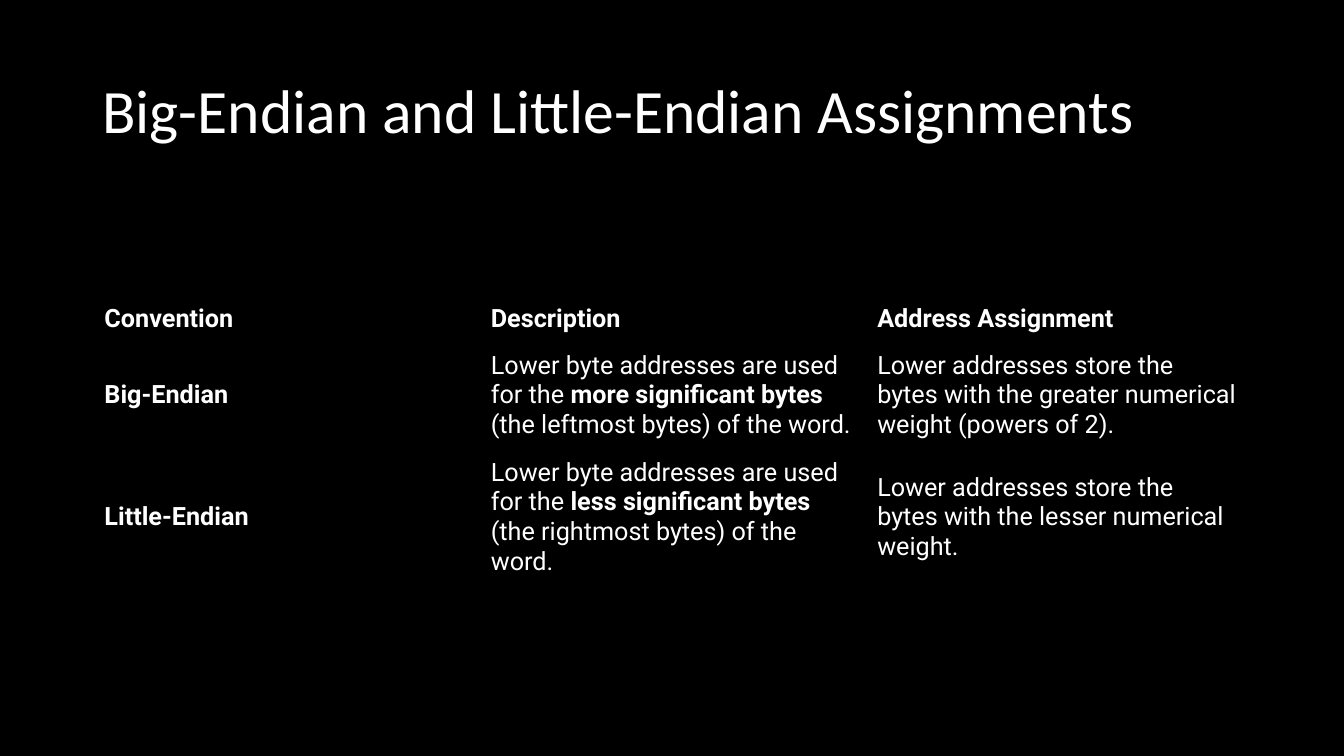
from dataclasses import dataclass

from pptx import Presentation
from pptx.dml.color import RGBColor
from pptx.enum.text import MSO_ANCHOR as Anchor
from pptx.slide import Slide
from pptx.text.text import _Paragraph as Paragraph
from pptx.util import Inches, Pt

# Grid: the slide is 160 columns by 75 rows
PAGE_WIDTH, PAGE_HEIGHT = Inches(13.33), Inches(7.5)
COLUMN, ROW = PAGE_WIDTH / 160, PAGE_HEIGHT / 75
NO_STYLE_NO_GRID = "{2D5ABB26-0587-4C30-8999-92F81FD0307C}"


@dataclass(frozen=True)
class Theme:
    background: RGBColor = RGBColor(0, 0, 0)
    ink: RGBColor = RGBColor(255, 255, 255)
    title_font: str = "Calibri"
    table_font: str = "Roboto"
    title_size: int = 44
    table_size: int = 18


@dataclass(frozen=True)
class Area:
    """Position and size in grid columns and rows."""
    column: float
    row: float
    columns: float
    rows: float

    def lengths(self) -> tuple[int, int, int, int]:
        return (round(self.column * COLUMN), round(self.row * ROW),
                round(self.columns * COLUMN), round(self.rows * ROW))


@dataclass(frozen=True)
class Span:
    text: str
    bold: bool = False


@dataclass(frozen=True)
class TableRow:
    rows: float
    cells: tuple[tuple[Span, ...], ...]


THEME = Theme()
TITLE_AREA = Area(11, 4, 138, 14.5)
TABLE_AREA = Area(11, 29.3, 138, 28.2)
TITLE = "Big-Endian and Little-Endian Assignments"


def convention_row(rows: float, name: str, rank: str, side: str, weight: str) -> TableRow:
    return TableRow(rows, (
        (Span(name, True),),
        (Span("Lower byte addresses are used for the "),
         Span(f"{rank} significant bytes", True),
         Span(f" (the {side} bytes) of the word.")),
        (Span(f"Lower addresses store the bytes with the {weight}."),),
    ))


TABLE_ROWS = (
    TableRow(4.5, tuple((Span(heading, True),) for heading in
                        ("Convention", "Description", "Address Assignment"))),
    convention_row(10.4, "Big-Endian", "more", "leftmost",
                   "greater numerical weight (powers of 2)"),
    convention_row(13.3, "Little-Endian", "less", "rightmost",
                   "lesser numerical weight"),
)


def apply_format(target: object, values: dict[str, object]) -> None:
    for name, value in values.items():
        setattr(target, name, value)


def write_spans(para: Paragraph, spans: tuple[Span, ...], font: str, size: int) -> None:
    for span in spans:
        run = para.add_run()
        run.text = span.text
        apply_format(run.font, {"name": font, "size": Pt(size), "bold": span.bold})
        run.font.color.rgb = THEME.ink


def draw_title(page: Slide) -> None:
    frame = page.shapes.add_textbox(*TITLE_AREA.lengths()).text_frame
    apply_format(frame, {"word_wrap": True, "vertical_anchor": Anchor.MIDDLE})
    para = frame.paragraphs[0]
    para.line_spacing = 0.9
    write_spans(para, (Span(TITLE),), THEME.title_font, THEME.title_size)


def draw_table(page: Slide) -> None:
    column_count = len(TABLE_ROWS[0].cells)
    holder = page.shapes.add_table(len(TABLE_ROWS), column_count, *TABLE_AREA.lengths())
    table = holder.table
    apply_format(table, {"first_row": False, "horz_banding": False})
    # Plain table style without borders
    table._tbl.tblPr[0].text = NO_STYLE_NO_GRID

    cell_format = {
        "vertical_anchor": Anchor.MIDDLE,
        "margin_left": Inches(0.12), "margin_right": Inches(0.12),
        "margin_top": Inches(0.08), "margin_bottom": Inches(0.08),
    }
    for row_index, table_row in enumerate(TABLE_ROWS):
        table.rows[row_index].height = round(table_row.rows * ROW)
        for column_index, spans in enumerate(table_row.cells):
            cell = table.cell(row_index, column_index)
            apply_format(cell, cell_format)
            cell.fill.background()
            write_spans(cell.text_frame.paragraphs[0], spans,
                        THEME.table_font, THEME.table_size)


def main() -> None:
    deck = Presentation()
    apply_format(deck, {"slide_width": PAGE_WIDTH, "slide_height": PAGE_HEIGHT})
    page = deck.slides.add_slide(deck.slide_layouts[6])
    page.background.fill.solid()
    page.background.fill.fore_color.rgb = THEME.background
    draw_title(page)
    draw_table(page)
    deck.save("out.pptx")


if __name__ == "__main__":
    main()
